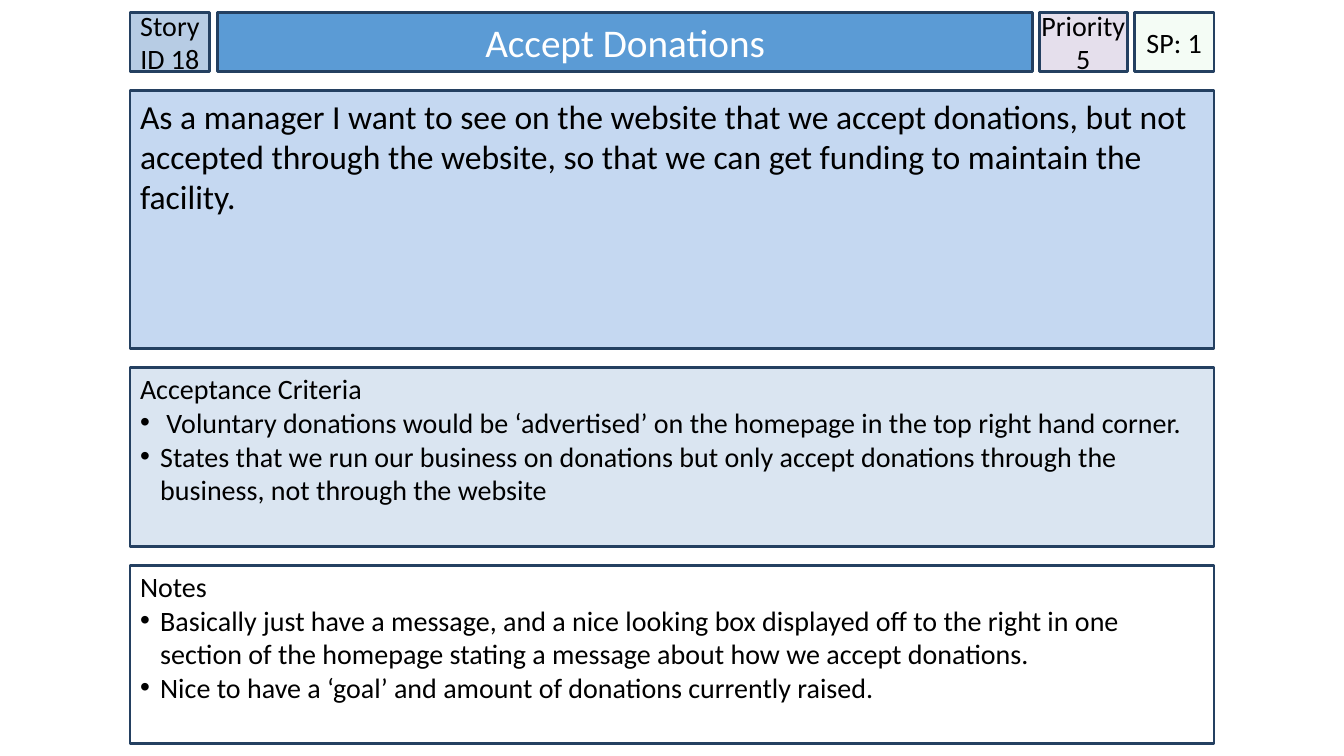
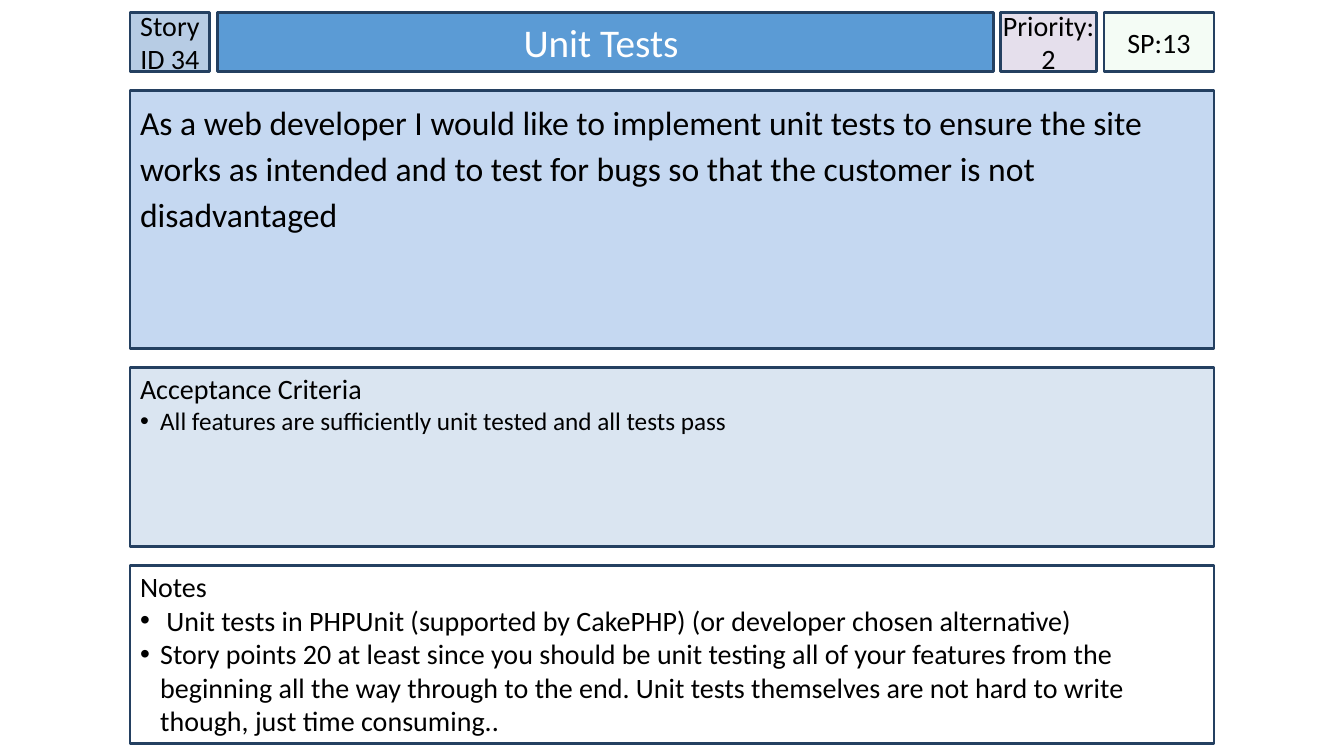
import pptx
import pptx.util
import pptx.dml.color
import pptx.enum.shapes
import pptx.enum.text
import pptx.oxml
import pptx.oxml.ns

Inches = pptx.util.Inches
Align = pptx.enum.text.PP_ALIGN
Anchor = pptx.enum.text.MSO_ANCHOR

FONT = "Calibri"
INK, EDGE, WHITE = "000000", "244061", "FFFFFF"
FILLS = {"id": "B7CCE4", "title": "5B9BD5", "rank": "E5DFEC", "points": "CCF0CD",
         "story": "C5D8F1", "tests": "DAE5F1", "notes": WHITE}
LEFT, WIDTH = 1.29, 10.75
TOP, HIGH, GAP = 0.12, 0.59, 0.07
ID_WIDE, TITLE_LEFT = 0.79, 2.16

CARDS = [
    {"id": "Story ID 18", "title": "Accept Donations",
     "rank": ["Priority", "5"], "rank_wide": 0.87,
     "points": "SP: 1", "points_wide": 0.79,
     "story": "As a manager I want to see on the website that we accept donations, "
              "but not accepted through the website, so that we can get funding to "
              "maintain the facility.",
     "space": None, "test_size": 20,
     "tests": [" Voluntary donations would be ‘advertised’ on the homepage in the "
               "top right hand corner.",
               "States that we run our business on donations but only accept "
               "donations through the business, not through the website"],
     "notes": ["Basically just have a message, and a nice looking box displayed off "
               "to the right in one section of the homepage stating a message about "
               "how we accept donations.",
               "Nice to have a ‘goal’ and amount of donations currently raised."]},
    {"id": "Story ID 34", "title": "Unit Tests ",
     "rank": ["Priority: 2"], "rank_wide": 0.96,
     "points": "SP:13", "points_wide": 1.09,
     "story": "As a web developer I would like to implement unit tests to ensure the "
              "site works as intended and to test for bugs so that the customer is "
              "not disadvantaged",
     "space": 1.15, "test_size": 18,
     "tests": ["All features are sufficiently unit tested and all tests pass"],
     "notes": [" Unit tests in PHPUnit (supported by CakePHP) (or developer chosen "
               "alternative)",
               "Story points 20 at least since you should be unit testing all of "
               "your features from the beginning all the way through to the end. "
               "Unit tests themselves are not hard to write though, just time "
               "consuming.."]},
]


def apply(item, values):
    """Set each attribute of an item from a dict."""
    for name, value in values.items():
        setattr(item, name, value)


def paint(form, color):
    """Give a fill or font colour format a solid hex colour."""
    form.rgb = pptx.dml.color.RGBColor.from_string(color)


def style(shape, at, fill, side=0.1, top=0.05, anchor=Anchor.MIDDLE):
    """Place a shape and set its fill, border and text frame."""
    apply(shape, dict(zip(("left", "top", "width", "height"), map(Inches, at))))
    shape.fill.solid()
    paint(shape.fill.fore_color, fill)
    paint(shape.line.color, EDGE)
    shape.line.width = pptx.util.Pt(2)
    apply(shape.text_frame, {
        "word_wrap": True, "auto_size": pptx.enum.text.MSO_AUTO_SIZE.NONE,
        "vertical_anchor": anchor,
        "margin_left": Inches(side), "margin_right": Inches(side),
        "margin_top": Inches(top), "margin_bottom": Inches(0.05)})


def box(slide, at, fill, **frame):
    """Add a styled rectangle without a shadow."""
    kind = pptx.enum.shapes.MSO_SHAPE.RECTANGLE
    shape = slide.shapes.add_shape(kind, *map(Inches, at))
    shape.shadow.inherit = False
    style(shape, at, fill, **frame)
    return shape


def write(para, text, size, color=INK, align=Align.LEFT):
    """Fill a paragraph with one formatted run."""
    para.alignment = align
    run = para.add_run()
    run.text = text
    apply(run.font, {"name": FONT, "size": pptx.util.Pt(size)})
    paint(run.font.color, color)


def dot(para):
    """Give a paragraph a round bullet with a hanging indent."""
    props = para._p.get_or_add_pPr()
    props.set("marL", str(Inches(0.2)))
    props.set("indent", str(-Inches(0.2)))
    space = pptx.oxml.ns.nsdecls("a")
    for part in (f'<a:buClr {space}><a:srgbClr val="{INK}"/></a:buClr>',
                 f'<a:buFont {space} typeface="Arial"/>',
                 f'<a:buChar {space} char="•"/>'):
        props.append(pptx.oxml.parse_xml(part))


def fade(shape, part):
    """Make a solid fill partly opaque."""
    color = shape.fill._xPr.find(".//" + pptx.oxml.ns.qn("a:srgbClr"))
    space = pptx.oxml.ns.nsdecls("a")
    color.append(pptx.oxml.parse_xml(f'<a:alpha {space} val="{part * 1000}"/>'))


def badge(slide, left, wide, fill, lines):
    """Add a small centred box to the top row."""
    shape = box(slide, (left, TOP, wide, HIGH), fill, side=0)
    frame = shape.text_frame
    for i, line in enumerate(lines):
        para = frame.add_paragraph() if i else frame.paragraphs[0]
        write(para, line, 20, align=Align.CENTER)
    return shape


def panel(slide, top, fill, head, items, size=20):
    """Add a wide box with a heading and bullets."""
    shape = box(slide, (LEFT, top, WIDTH, 1.77), fill, top=0.04, anchor=Anchor.TOP)
    frame = shape.text_frame
    write(frame.paragraphs[0], head, 20)
    for item in items:
        para = frame.add_paragraph()
        write(para, item, size)
        dot(para)


def header(slide, card):
    """Build the top row, laid out from both edges inward."""
    points_left = LEFT + WIDTH - card["points_wide"]
    rank_left = points_left - GAP - card["rank_wide"]
    title = slide.shapes.title
    style(title, (TITLE_LEFT, TOP, rank_left - GAP - TITLE_LEFT, HIGH), FILLS["title"])
    write(title.text_frame.paragraphs[0], card["title"], 28, WHITE, Align.CENTER)
    badge(slide, LEFT, ID_WIDE, FILLS["id"], [card["id"]])
    badge(slide, rank_left, card["rank_wide"], FILLS["rank"], card["rank"])
    points = badge(slide, points_left, card["points_wide"], FILLS["points"],
                   [card["points"]])
    fade(points, 20)


def build(deck, card):
    """Add one story card slide."""
    slide = deck.slides.add_slide(deck.slide_layouts[5])
    header(slide, card)
    story = box(slide, (LEFT, 0.9, WIDTH, 2.56), FILLS["story"], anchor=Anchor.TOP)
    para = story.text_frame.paragraphs[0]
    write(para, card["story"], 24)
    para.line_spacing = card["space"]
    panel(slide, 3.65, FILLS["tests"], "Acceptance Criteria", card["tests"],
          card["test_size"])
    panel(slide, 5.61, FILLS["notes"], "Notes", card["notes"])


def main():
    """Build and save the deck."""
    deck = pptx.Presentation()
    apply(deck, {"slide_width": Inches(13.33), "slide_height": Inches(7.5)})
    for card in CARDS:
        build(deck, card)
    deck.save("out.pptx")


if __name__ == "__main__":
    main()
